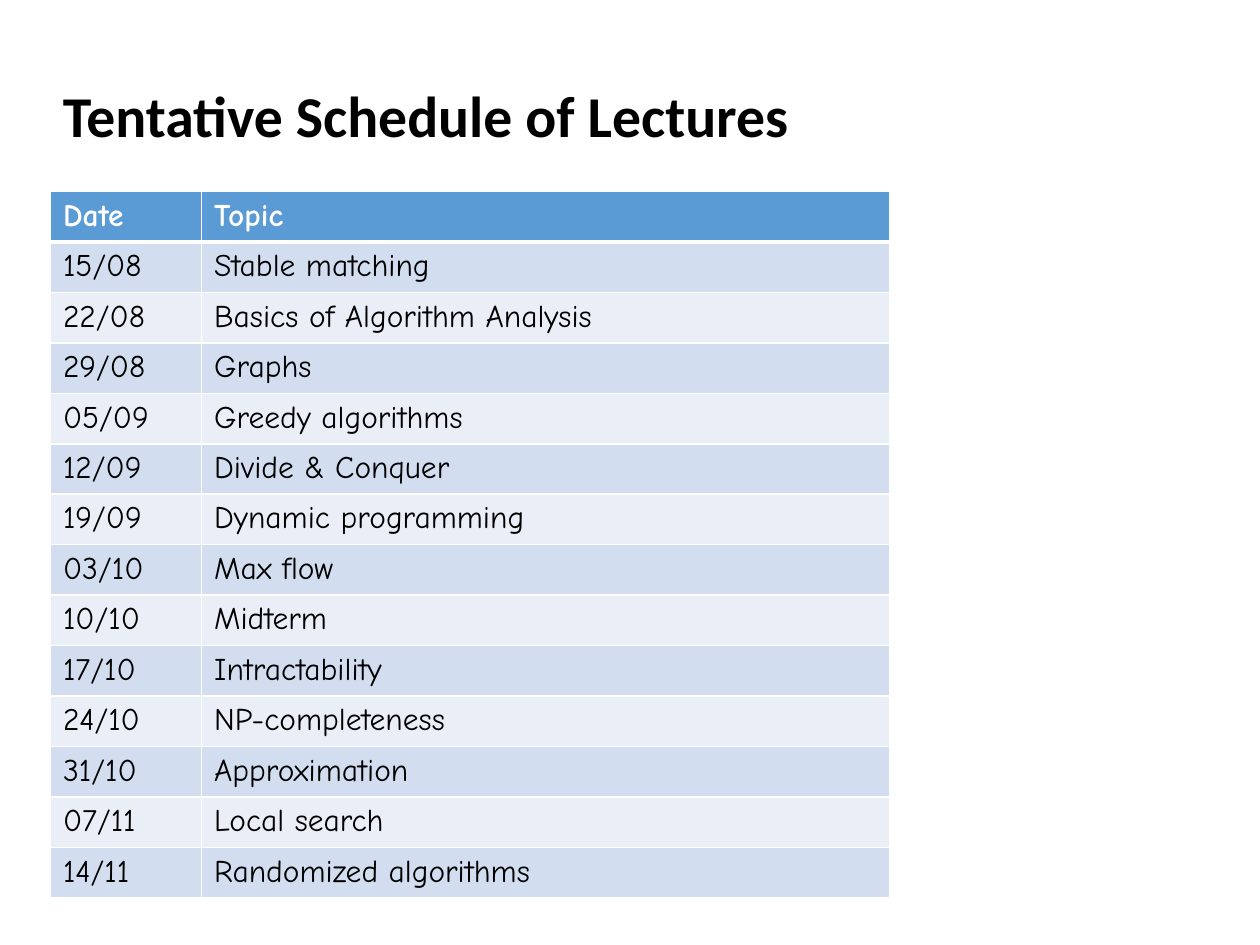
from lxml import etree
from pptx import Presentation
from pptx.dml.color import RGBColor
from pptx.enum.text import MSO_ANCHOR
from pptx.oxml.ns import qn
from pptx.util import Inches, Pt

MIDDLE = MSO_ANCHOR.MIDDLE
BLACK = RGBColor(0x00, 0x00, 0x00)
WHITE = RGBColor(0xFF, 0xFF, 0xFF)
HEADER_BLUE = RGBColor(0x5B, 0x9B, 0xD5)
BAND_DARK = RGBColor(0xD2, 0xDE, 0xEF)
BAND_LIGHT = RGBColor(0xEA, 0xEF, 0xF7)

SCHEDULE = [
    ("Date", "Topic"),
    ("15/08", "Stable matching"),
    ("22/08", "Basics of Algorithm Analysis"),
    ("29/08", "Graphs"),
    ("05/09", "Greedy algorithms"),
    ("12/09", "Divide & Conquer"),
    ("19/09", "Dynamic programming"),
    ("03/10", "Max flow"),
    ("10/10", "Midterm"),
    ("17/10", "Intractability"),
    ("24/10", "NP-completeness"),
    ("31/10", "Approximation"),
    ("07/11", "Local search"),
    ("14/11", "Randomized algorithms"),
]
COLUMN_WIDTHS = (1.2, 5.46)
ROW_HEIGHT = 0.31


def style_text(paragraph, font_name, size, color, bold):
    font = paragraph.runs[0].font
    font.name = font_name
    font.size = Pt(size)
    font.color.rgb = color
    font.bold = bold


def set_borders(cell, widths):
    """Draw white cell borders; widths maps each side's tag to points."""
    properties = cell._tc.get_or_add_tcPr()
    for position, (tag, width) in enumerate(widths.items()):
        line = etree.Element(qn(tag), w=str(Pt(width)))
        fill = etree.SubElement(line, qn("a:solidFill"))
        etree.SubElement(fill, qn("a:srgbClr"), val=str(WHITE))
        properties.insert(position, line)


presentation = Presentation()
presentation.slide_width = Inches(10)
presentation.slide_height = Inches(7.5)
slide = presentation.slides.add_slide(presentation.slide_layouts[6])

title = slide.shapes.add_textbox(Inches(0.4), Inches(0.47), Inches(8.52), Inches(0.94))
title.text_frame.word_wrap = True
title.text_frame.vertical_anchor = MIDDLE
title.text_frame.text = "Tentative Schedule of Lectures"
title_paragraph = title.text_frame.paragraphs[0]
title_paragraph.line_spacing = 0.9
style_text(title_paragraph, "Calibri", 33, BLACK, True)

table = slide.shapes.add_table(
    len(SCHEDULE), len(COLUMN_WIDTHS), Inches(0.4), Inches(1.52),
    Inches(sum(COLUMN_WIDTHS)), Inches(ROW_HEIGHT * len(SCHEDULE)),
).table
for column, width in zip(table.columns, COLUMN_WIDTHS):
    column.width = Inches(width)

for row_index, entries in enumerate(SCHEDULE):
    is_header = row_index == 0
    if is_header:
        fill_color = HEADER_BLUE
    else:
        fill_color = BAND_DARK if row_index % 2 else BAND_LIGHT
    borders = {
        "a:lnL": 1,
        "a:lnR": 1,
        "a:lnT": 3 if row_index == 1 else 1,
        "a:lnB": 3 if is_header else 1,
    }
    for column_index, entry in enumerate(entries):
        cell = table.cell(row_index, column_index)
        cell.text_frame.text = entry
        style_text(cell.text_frame.paragraphs[0], "Comic Neue", 18,
                   WHITE if is_header else BLACK, is_header)
        cell.fill.solid()
        cell.fill.fore_color.rgb = fill_color
        set_borders(cell, borders)

presentation.save("out.pptx")
